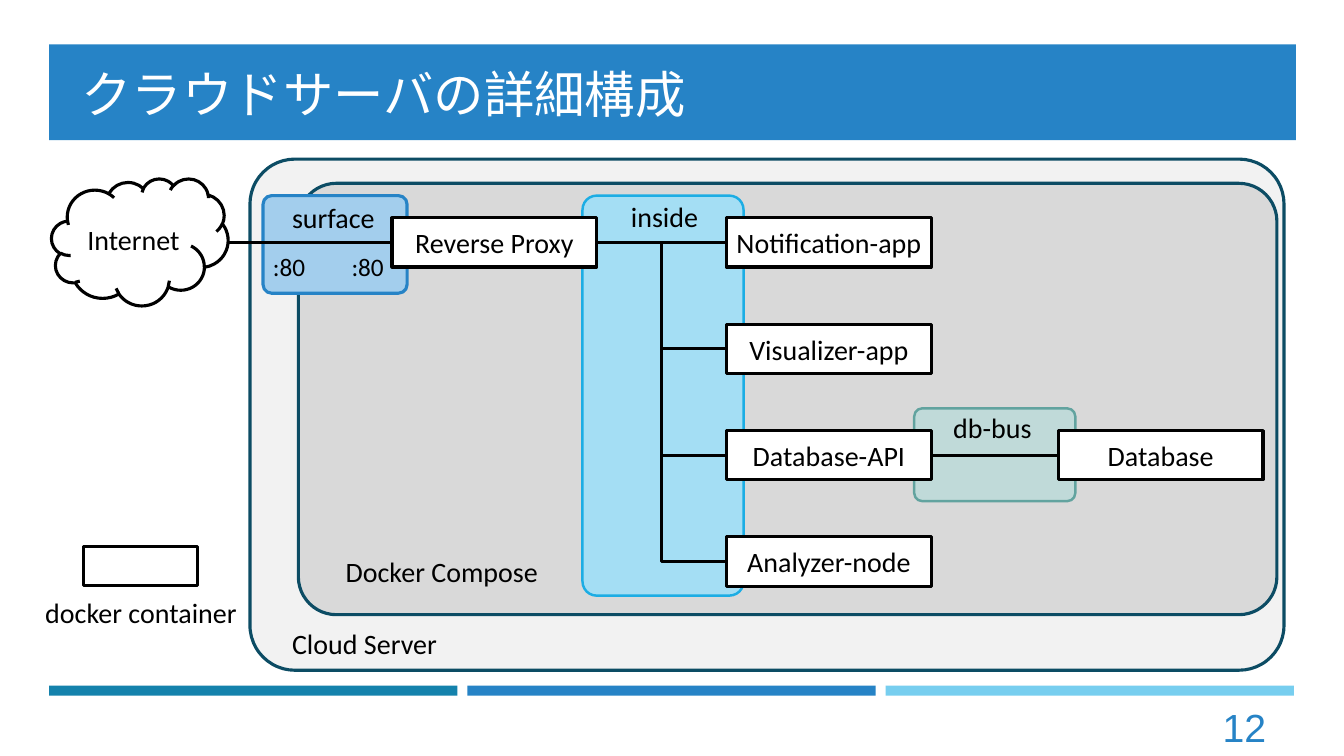
from dataclasses import dataclass
from typing import Optional

from lxml import etree
from pptx import Presentation
from pptx.dml.color import RGBColor
from pptx.enum.shapes import MSO_CONNECTOR, MSO_SHAPE
from pptx.enum.text import MSO_ANCHOR, MSO_AUTO_SIZE, PP_ALIGN
from pptx.oxml.ns import qn
from pptx.util import Cm, Pt

RECT, ROUND, CLOUD = MSO_SHAPE.RECTANGLE, MSO_SHAPE.ROUNDED_RECTANGLE, MSO_SHAPE.CLOUD
STRAIGHT, ELBOW = MSO_CONNECTOR.STRAIGHT, MSO_CONNECTOR.ELBOW
LEFT, CENTER, RIGHT = PP_ALIGN.LEFT, PP_ALIGN.CENTER, PP_ALIGN.RIGHT
TOP, MIDDLE = MSO_ANCHOR.TOP, MSO_ANCHOR.MIDDLE
NO_AUTOFIT = MSO_AUTO_SIZE.NONE

BLACK = RGBColor(0x00, 0x00, 0x00)
WHITE = RGBColor(0xFF, 0xFF, 0xFF)
BLUE = RGBColor(0x26, 0x83, 0xC6)
TEAL = RGBColor(0x14, 0x82, 0xAC)
SKY = RGBColor(0x77, 0xCE, 0xEF)
NAVY = RGBColor(0x0C, 0x4C, 0x64)
PALE_GREY = RGBColor(0xF2, 0xF2, 0xF2)
GREY = RGBColor(0xD9, 0xD9, 0xD9)
CYAN = RGBColor(0x1C, 0xAD, 0xE4)
PALE_CYAN = RGBColor(0xA4, 0xDE, 0xF4)
GREEN = RGBColor(0x62, 0xA3, 0x9F)
PALE_GREEN = RGBColor(0xC0, 0xDA, 0xD9)
PALE_BLUE = RGBColor(0xA3, 0xCE, 0xED)

BOX_W, BOX_H = 5.16, 1.24
TOP_ROW, ROW_STEP = 5.49, 2.68
APP_X = 18.31
BAR_X, BAR_STEP = 1.24, 10.54


@dataclass
class Block:
    x: float
    y: float
    w: float
    h: float
    fill: RGBColor
    line: Optional[RGBColor] = None
    width: float = 2.25
    kind: MSO_SHAPE = RECT
    text: str = ""


@dataclass
class Label:
    text: str
    x: float
    y: float
    w: float
    h: float = 1.12
    size: float = 20
    align: PP_ALIGN = LEFT
    anchor: MSO_ANCHOR = TOP
    font: str = "Calibri"
    color: RGBColor = BLACK


def write(tf, text: str, *, size: float = 20, font: str = "Calibri",
          color: RGBColor = BLACK, align: PP_ALIGN = CENTER,
          anchor: MSO_ANCHOR = MIDDLE, wrap: bool = True) -> None:
    tf.word_wrap = wrap
    tf.auto_size = NO_AUTOFIT
    tf.vertical_anchor = anchor
    p = tf.paragraphs[0]
    p.alignment = align
    r = p.add_run()
    r.text = text
    r.font.size = Pt(size)
    r.font.name = font
    r.font.color.rgb = color
    ea = etree.SubElement(r.font._element, qn("a:ea"))
    ea.set("typeface", font)


def draw_block(s, b: Block):
    sp = s.shapes.add_shape(b.kind, Cm(b.x), Cm(b.y), Cm(b.w), Cm(b.h))
    sp.shadow.inherit = False
    sp.fill.solid()
    sp.fill.fore_color.rgb = b.fill
    if b.line is None:
        sp.line.fill.background()
    else:
        sp.line.color.rgb = b.line
        sp.line.width = Pt(b.width)
    if b.kind == ROUND:
        sp.adjustments[0] = 0.088
    if b.text:
        write(sp.text_frame, b.text, wrap=False)
    return sp


def draw_label(s, lb: Label) -> None:
    tb = s.shapes.add_textbox(Cm(lb.x), Cm(lb.y), Cm(lb.w), Cm(lb.h))
    write(tb.text_frame, lb.text, size=lb.size, font=lb.font, color=lb.color,
          align=lb.align, anchor=lb.anchor)


def draw_container(s, text: str, x: float, row: int):
    y = TOP_ROW + row * ROW_STEP
    return draw_block(s, Block(x, y, BOX_W, BOX_H, WHITE, BLACK, text=text))


def draw_link(s, kind: MSO_CONNECTOR, end, start=None,
              x: float = 0, y: float = 0) -> None:
    cn = s.shapes.add_connector(kind, Cm(x), Cm(y), Cm(x), Cm(y))
    if start is not None:
        cn.begin_connect(start, 3)
    cn.end_connect(end, 1)
    cn.line.color.rgb = BLACK
    cn.line.width = Pt(2.25)
    etree.SubElement(cn.element.spPr, qn("a:effectLst"))


ZONES = [
    Block(6.3, 4.01, 26.06, 12.88, PALE_GREY, NAVY, kind=ROUND),
    Block(7.52, 4.62, 24.66, 10.87, GREY, NAVY, kind=ROUND),
    Block(14.68, 4.93, 4.06, 10.08, PALE_CYAN, CYAN, 1.75, ROUND),
    Block(23.04, 10.29, 4.06, 2.34, PALE_GREEN, GREEN, 1.75, ROUND),
    Block(6.63, 4.93, 3.63, 2.46, PALE_BLUE, BLUE, kind=ROUND),
]
APPS = ["Notification-app", "Visualizer-app", "Database-API", "Analyzer-node"]
LABELS = [
    Label("docker container", 0.76, 14.88, 5.59, align=CENTER),
    Label("surface", 7.11, 4.93, 2.84),
    Label("db-bus", 23.77, 10.21, 2.74),
    Label("inside", 15.65, 4.9, 2.39),
    Label(":80", 6.63, 6.22, 1.32, 1.02, 18),
    Label(":80", 8.61, 6.22, 1.32, 1.02, 18),
    Label("Docker Compose", 8.46, 13.84, 5.74),
    Label("Cloud Server", 7.11, 15.65, 6.63),
    Label("12", 29.34, 17.81, 2.82, 1.02, 28, RIGHT, MIDDLE, "Arial", BLUE),
]


def main() -> None:
    prs = Presentation()
    prs.slide_width, prs.slide_height = Cm(33.87), Cm(19.05)
    s = prs.slides.add_slide(prs.slide_layouts[5])

    title = s.shapes.title
    title.left, title.top, title.width, title.height = Cm(1.8), Cm(1.19), Cm(29.62), Cm(2.34)
    write(title.text_frame, "クラウドサーバの詳細構成", size=36,
          font="Noto Sans CJK JP", color=WHITE, align=LEFT)
    header = draw_block(s, Block(BAR_X, 1.12, 31.42, 2.41, BLUE))
    title.element.addprevious(header.element)

    for i, color in enumerate([TEAL, BLUE, SKY]):
        draw_block(s, Block(BAR_X + i * BAR_STEP, 17.28, 10.29, 0.25, color))
    for zone in ZONES:
        draw_block(s, zone)

    proxy = draw_container(s, "Reverse Proxy", 9.88, 0)
    apps = [draw_container(s, name, APP_X, row) for row, name in enumerate(APPS)]
    database = draw_container(s, "Database", 26.67, 2)
    draw_block(s, Block(2.11, 13.77, 2.87, 0.99, WHITE, BLACK))

    draw_link(s, STRAIGHT, proxy, x=5.74, y=TOP_ROW + BOX_H / 2)
    for row, app in enumerate(apps):
        draw_link(s, ELBOW if row else STRAIGHT, app, proxy)
    draw_link(s, STRAIGHT, database, apps[2])

    draw_block(s, Block(1.3, 4.5, 4.45, 3.2, WHITE, BLACK, kind=CLOUD, text="Internet"))
    for label in LABELS:
        draw_label(s, label)

    prs.save("out.pptx")


if __name__ == "__main__":
    main()
